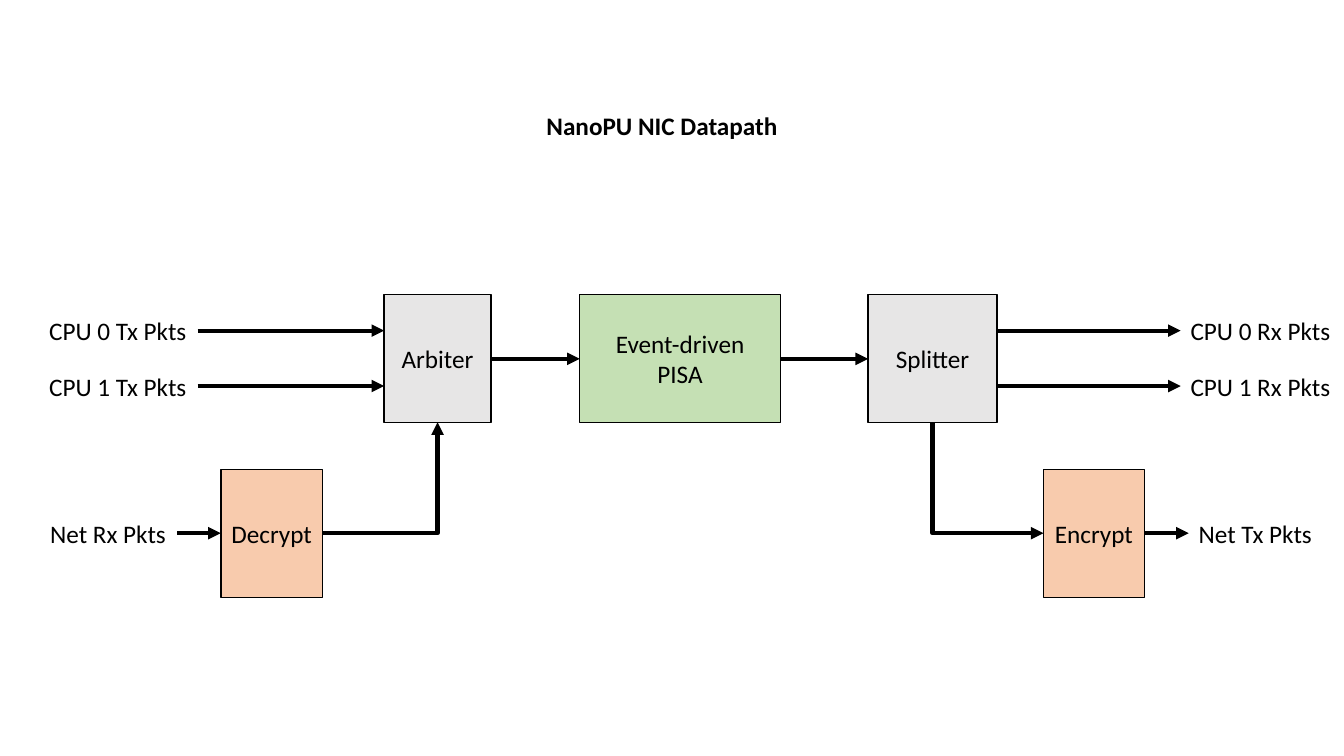
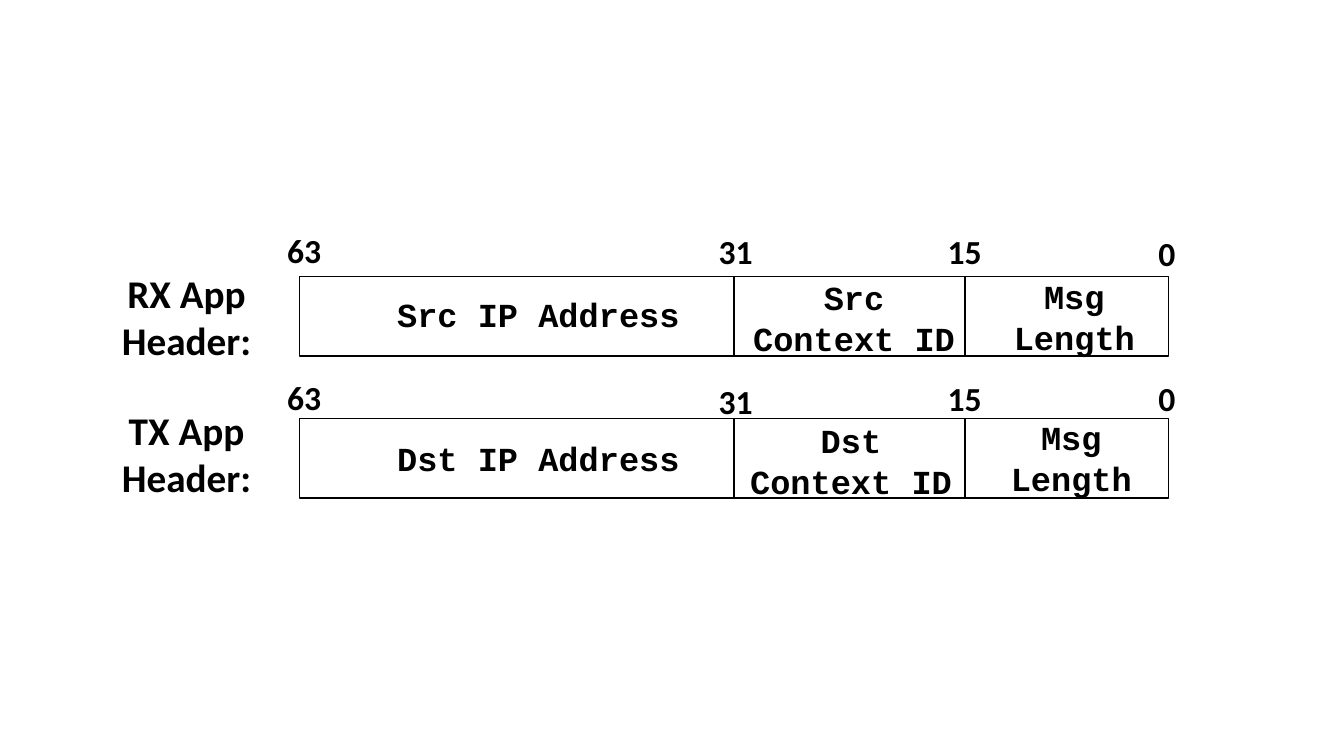
"""Build two slides: the NanoPU NIC datapath and its application headers."""
from lxml import etree
from pptx import Presentation
from pptx.dml.color import RGBColor
from pptx.enum.shapes import MSO_CONNECTOR, MSO_SHAPE
from pptx.enum.text import MSO_ANCHOR, MSO_AUTO_SIZE, PP_ALIGN
from pptx.oxml.ns import qn
from pptx.util import Inches, Pt

RECTANGLE = MSO_SHAPE.RECTANGLE
STRAIGHT, ELBOW = MSO_CONNECTOR.STRAIGHT, MSO_CONNECTOR.ELBOW
LEFT, CENTER = PP_ALIGN.LEFT, PP_ALIGN.CENTER
TOP, MIDDLE = MSO_ANCHOR.TOP, MSO_ANCHOR.MIDDLE
FIT_TEXT = MSO_AUTO_SIZE.SHAPE_TO_FIT_TEXT
TITLE_ONLY, BLANK = 5, 6

BLACK, GRAY, GREEN, ORANGE = "000000", "E7E6E6", "C5E0B4", "F8CBAD"
SANS, MONO = "Calibri", "Courier New"
color = RGBColor.from_string

deck = Presentation()
deck.slide_width, deck.slide_height = Inches(13.33), Inches(7.5)


def write(slide, text, at, holder=None, boxed=False, fill=None,
          size=18, font=SANS, bold=False, align=LEFT):
    """Place text on a slide, as a label, in a box or in a given holder."""
    area = [Inches(length) for length in at]
    if boxed:
        holder = slide.shapes.add_shape(RECTANGLE, *area)
        holder.shadow.inherit = False
        holder.line.color.rgb = color(BLACK)
        holder.line.width = Pt(1)
        if fill:
            holder.fill.solid()
            holder.fill.fore_color.rgb = color(fill)
        else:
            holder.fill.background()
    elif holder is None:
        holder = slide.shapes.add_textbox(*area)
    holder.left, holder.top, holder.width, holder.height = area
    frame = holder.text_frame
    frame.text = text
    frame.word_wrap = boxed
    frame.vertical_anchor = MIDDLE if boxed else TOP
    if not boxed:
        frame.auto_size = FIT_TEXT
    for paragraph in frame.paragraphs:
        paragraph.alignment = align
        paragraph.line_spacing = 1.0
        paragraph.font.size = Pt(size)
        paragraph.font.name = font
        paragraph.font.bold = bold
        paragraph.font.color.rgb = color(BLACK)


def arrow(slide, start, end, kind=STRAIGHT):
    """Draw a thick arrow and return its shape properties."""
    connector = slide.shapes.add_connector(
        kind, *[Inches(length) for length in (*start, *end)])
    connector.line.color.rgb = color(BLACK)
    connector.line.width = Pt(3)
    etree.SubElement(connector.line._get_or_add_ln(), qn("a:tailEnd"), type="triangle")
    properties = connector._element.spPr
    etree.SubElement(properties, qn("a:effectLst"))
    if kind == ELBOW:
        properties.find(qn("a:prstGeom")).set("prst", "bentConnector2")
    return properties


datapath = deck.slides.add_slide(deck.slide_layouts[TITLE_ONLY])
write(datapath, "NanoPU NIC Datapath", (5.32, 1.04, 2.57, 0.4),
      holder=datapath.shapes.title, bold=True)

block_height = 1.27
upper, lower = 2.92, 4.66
upper_middle, lower_middle = 3.56, 5.29
label_height = 0.4
blocks = {
    "Arbiter": (3.81, upper, 1.06, GRAY),
    "Event-driven\nPISA": (5.75, upper, 1.99, GREEN),
    "Splitter": (8.61, upper, 1.28, GRAY),
    "Decrypt": (2.19, lower, 1.01, ORANGE),
    "Encrypt": (10.35, lower, 1.0, ORANGE),
}
for name, (left, top, width, fill) in blocks.items():
    write(datapath, name, (left, top, width, block_height),
          boxed=True, fill=fill, align=CENTER)

lanes = [(f"CPU {cpu}", upper_middle + shift, "Arbiter", "Splitter", 0.39, 1.57, 11.71, 1.6)
         for cpu, shift in enumerate((-0.28, 0.27))]
lanes.append(("Net", lower_middle, "Decrypt", "Encrypt", 0.4, 1.36, 11.79, 1.33))
for source, middle, entry, leaving, in_left, in_width, out_left, out_width in lanes:
    inward, outward = ("Rx", "Tx") if source == "Net" else ("Tx", "Rx")
    label_top = middle - label_height / 2
    write(datapath, f"{source} {inward} Pkts", (in_left, label_top, in_width, label_height))
    write(datapath, f"{source} {outward} Pkts", (out_left, label_top, out_width, label_height))
    arrow(datapath, (in_left + in_width, middle), (blocks[entry][0], middle))
    exit_left, _, exit_width, _ = blocks[leaving]
    arrow(datapath, (exit_left + exit_width, middle), (out_left, middle))

for start, end in ((4.87, 5.75), (7.74, 8.61)):
    arrow(datapath, (start, upper_middle), (end, upper_middle))

upper_bottom = upper + block_height
arrow(datapath, (3.2, lower_middle), (4.34, upper_bottom), ELBOW)
downward = arrow(datapath, (9.25, upper_bottom), (10.35, lower_middle), ELBOW)
downward.xfrm.set("rot", "16200000")
downward.xfrm.set("flipH", "1")

headers = deck.slides.add_slide(deck.slide_layouts[BLANK])
field_edges = (2.97, 7.28, 9.57, 11.59)
field_height = 0.79
rows = (
    ("RX", "Src", 2.74, 2.62, (2.87, 2.7, 2.69), 0, (2.23, 2.24, 2.24, 2.26)),
    ("TX", "Dst", 4.15, 3.98, (4.3, 4.12, 4.09), -0.03, (3.69, 3.73, 3.7, 3.7)),
)
bits = (("63", 2.75, 0.54), ("31", 7.03, 0.54), ("15", 9.3, 0.54), ("0", 11.39, 0.37))
for direction, end, row_top, header_top, field_tops, nudge, bit_tops in rows:
    for left, right in zip(field_edges, field_edges[1:]):
        write(headers, "", (left, row_top, right - left, field_height), boxed=True)
    write(headers, f"{direction} App\nHeader:", (1.1, header_top, 1.5, 1.04),
          size=28, bold=True, align=CENTER)
    fields = (
        (f"{end} IP Address", 3.84, 3.02, 0.5, LEFT),
        (f"{end}\nContext ID", 7.36 + nudge, 2.22, 0.91, CENTER),
        ("Msg\nLength", 9.95 + nudge, 1.41, 0.91, CENTER),
    )
    for (field, left, width, height, align), top in zip(fields, field_tops):
        write(headers, field, (left, top, width, height),
              size=24, font=MONO, bold=True, align=align)
    for (bit, left, width), top in zip(bits, bit_tops):
        write(headers, bit, (left, top, width, 0.5), size=24, bold=True)

deck.save("out.pptx")
